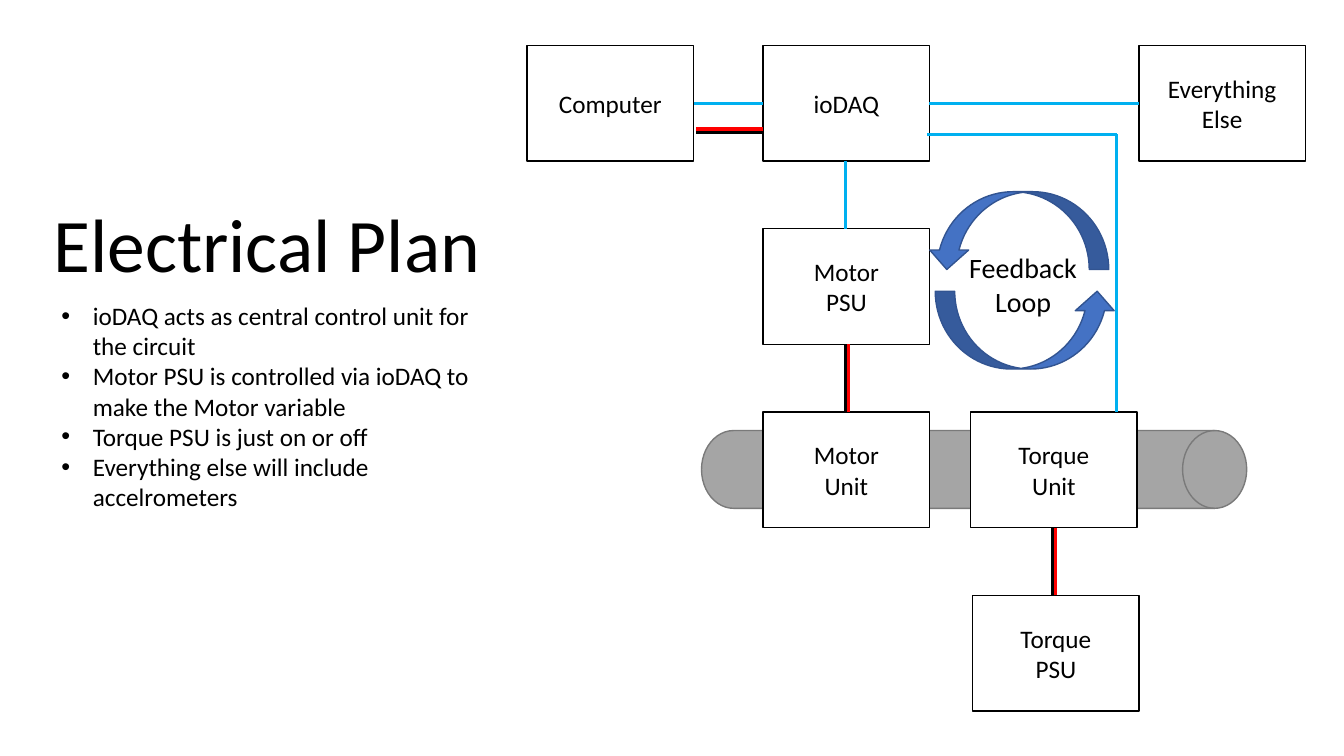
from dataclasses import dataclass

from lxml import etree
from pptx import Presentation
from pptx.dml.color import RGBColor
from pptx.enum.shapes import MSO_CONNECTOR, MSO_SHAPE as Preset
from pptx.enum.text import MSO_ANCHOR as Anchor, MSO_AUTO_SIZE as AutoSize, PP_ALIGN as Align
from pptx.oxml.ns import qn
from pptx.util import Cm, Pt


@dataclass(frozen=True)
class Theme:
    font = "Calibri"
    title = Pt(54)
    loop = Pt(20)
    body = Pt(18)
    outline = Pt(1)
    wire = Pt(2.25)
    black = RGBColor.from_string("000000")
    white = RGBColor.from_string("FFFFFF")
    signal = RGBColor.from_string("00B0F0")
    power = RGBColor.from_string("FF0000")
    shaft = RGBColor.from_string("A5A5A5")
    shaft_edge = RGBColor.from_string("7A7A7A")
    arrow = RGBColor.from_string("4472C4")
    arrow_edge = RGBColor.from_string("325491")


theme = Theme()


def write(frame, text, size, align, **frame_format):
    frame.text = text
    for name, value in frame_format.items():
        setattr(frame, name, value)
    for paragraph in frame.paragraphs:
        paragraph.alignment = align
        font_format = {"name": theme.font, "size": size}
        for name, value in font_format.items():
            setattr(paragraph.font, name, value)
        paragraph.font.color.rgb = theme.black


def draw(preset, left, top, width, height, fill, edge):
    part = slide.shapes.add_shape(preset, Cm(left), Cm(top), Cm(width), Cm(height))
    part.shadow.inherit = False
    part.fill.solid()
    part.fill.fore_color.rgb = fill
    part.line.color.rgb = edge
    part.line.width = theme.outline
    return part


deck = Presentation()
deck.slide_width, deck.slide_height = Cm(33.87), Cm(19.05)
slide = deck.slides.add_slide(deck.slide_layouts[5])

# Title
title = slide.shapes.title
title_place = {"left": Cm(1.04), "top": Cm(4.83), "width": Cm(11.38), "height": Cm(2.57)}
for name, value in title_place.items():
    setattr(title, name, value)
write(title.text_frame, "Electrical Plan", theme.title, Align.CENTER,
      word_wrap=False, auto_size=AutoSize.SHAPE_TO_FIT_TEXT, vertical_anchor=Anchor.TOP)

# Shaft behind the units
for shaft_left in (26.57, 22.05, 17.68):
    draw(Preset.FLOWCHART_DIRECT_ACCESS_STORAGE, shaft_left, 10.85, 4.85, 1.96,
         theme.shaft, theme.shaft_edge)

# Units on four evenly spaced rows
unit_width, unit_height = 4.2, 2.92
row_tops = [1.14 + 4.62 * row for row in range(4)]
units = [
    ("Computer", 13.28, 0), ("ioDAQ", 19.23, 0), ("Everything\nElse", 28.7, 0),
    ("Motor\nPSU", 19.23, 1),
    ("Motor\nUnit", 19.23, 2), ("Torque\nUnit", 24.46, 2),
    ("Torque\nPSU", 24.51, 3),
]
for label, left, row in units:
    unit = draw(Preset.RECTANGLE, left, row_tops[row], unit_width, unit_height,
                theme.white, theme.black)
    write(unit.text_frame, label, theme.body, Align.CENTER, vertical_anchor=Anchor.MIDDLE)

# Wires: signal in blue, power in red and black pairs
row_bottoms = [top + unit_height for top in row_tops]
wires = [
    (theme.signal, 28.7, 2.6, 23.42, 2.6),
    (theme.signal, 17.48, 2.6, 19.23, 2.6),
    (theme.power, 19.23, 3.25, 17.53, 3.25),
    (theme.black, 19.23, 3.33, 17.53, 3.33),
    (theme.power, 21.39, row_tops[2], 21.39, row_bottoms[1]),
    (theme.black, 21.31, row_tops[2], 21.31, row_bottoms[1]),
    (theme.power, 26.59, row_tops[3], 26.59, row_bottoms[2]),
    (theme.black, 26.52, row_tops[3], 26.52, row_bottoms[2]),
    (theme.signal, 21.31, row_tops[1], 21.31, row_bottoms[0]),
    (theme.signal, 28.14, row_tops[2], 28.14, 3.38),
    (theme.signal, 28.14, 3.38, 23.37, 3.38),
]
for color, *ends in wires:
    wire = slide.shapes.add_connector(MSO_CONNECTOR.STRAIGHT, *map(Cm, ends))
    wire.line.color.rgb = color
    wire.line.width = theme.wire
    etree.SubElement(wire._element.spPr, qn("a:effectLst"))

# Feedback loop
for left, top, turn in ((23.57, 7.34, 0), (23.37, 4.83, 180)):
    loop_arrow = draw(Preset.CURVED_UP_ARROW, left, top, 4.57, 1.96,
                      theme.arrow, theme.arrow_edge)
    loop_arrow.rotation = turn
loop_label = slide.shapes.add_textbox(Cm(24.16), Cm(6.2), Cm(3.25), Cm(1.96))
write(loop_label.text_frame, "Feedback\nLoop", theme.loop, Align.CENTER,
      word_wrap=False, auto_size=AutoSize.SHAPE_TO_FIT_TEXT)

# Notes on the circuit
points = [
    "ioDAQ acts as central control unit for the circuit",
    "Motor PSU is controlled via ioDAQ to make the Motor variable",
    "Torque PSU is just on or off",
    "Everything else will include accelrometers",
]
summary = slide.shapes.add_textbox(Cm(1.3), Cm(7.44), Cm(11.23), Cm(5.64)).text_frame
summary.text = "\n".join(points)
for paragraph in summary.paragraphs:
    properties = paragraph._p.get_or_add_pPr()
    properties.set("marL", str(Cm(0.79)))
    properties.set("indent", str(-Cm(0.79)))
    etree.SubElement(properties, qn("a:buFont"), typeface="Arial")
    etree.SubElement(properties, qn("a:buChar"), char="•")
    paragraph.alignment = Align.LEFT
    point_format = {"name": theme.font, "size": theme.body}
    for name, value in point_format.items():
        setattr(paragraph.font, name, value)
    paragraph.font.color.rgb = theme.black
summary.word_wrap = True
summary.auto_size = AutoSize.SHAPE_TO_FIT_TEXT

deck.save("out.pptx")
